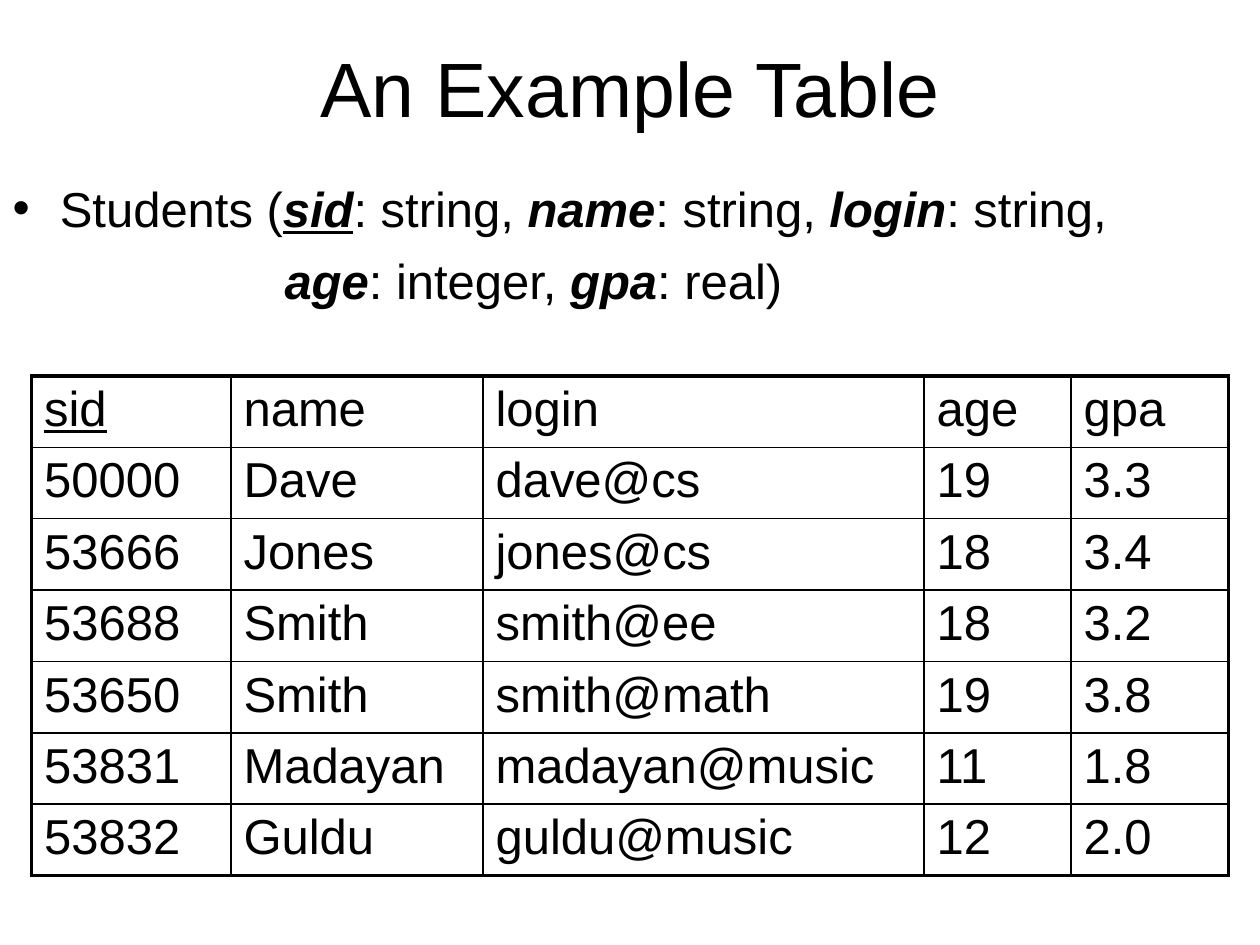
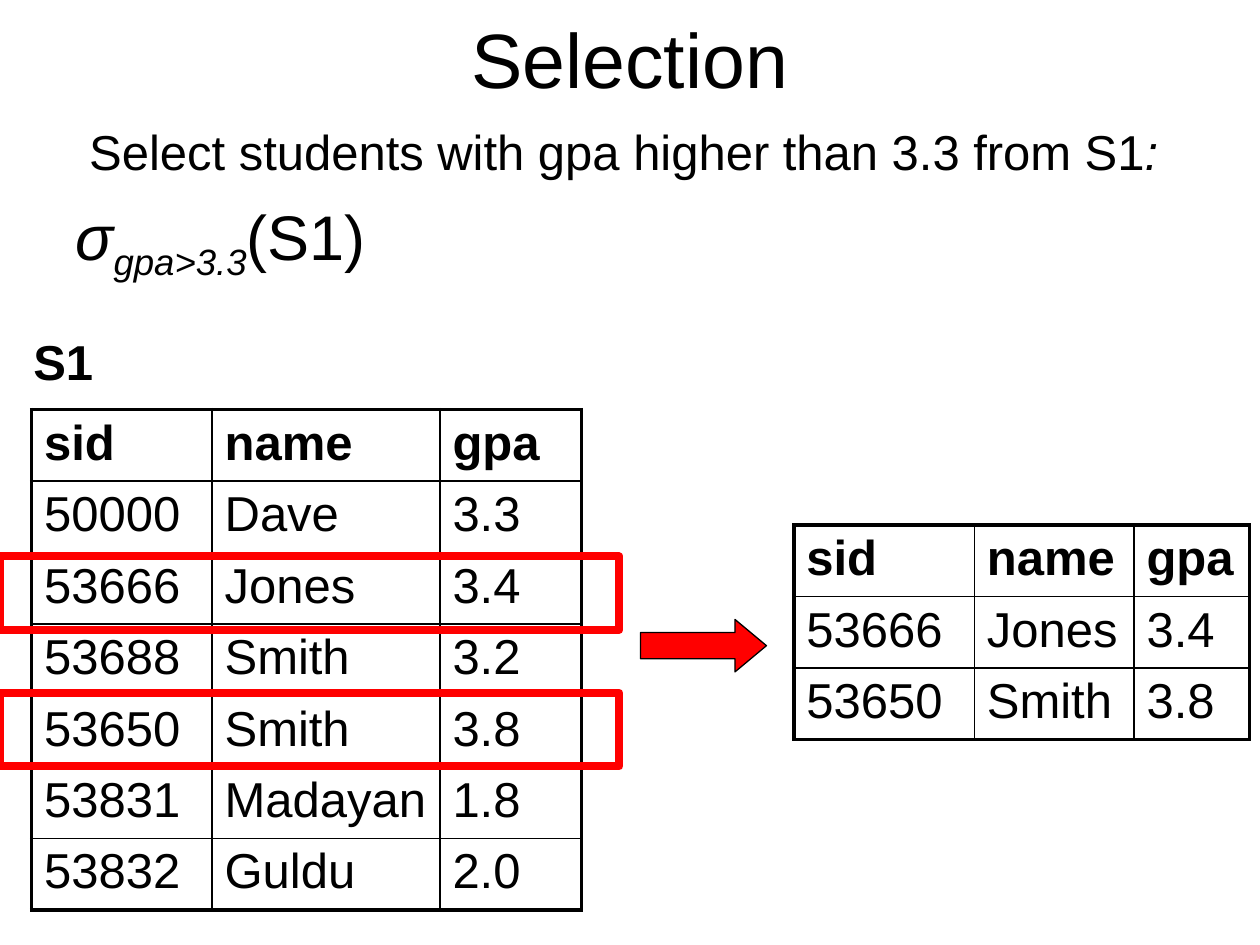
from dataclasses import dataclass

from lxml import etree
from pptx import Presentation
from pptx.dml.color import RGBColor
from pptx.enum import shapes, text
from pptx.oxml import ns
from pptx.util import Pt

PX = 7620  # EMU; 120 px to the inch


@dataclass(frozen=True)
class Theme:
    font: str = "Arial"
    ink: RGBColor = RGBColor(0, 0, 0)
    accent: RGBColor = RGBColor(255, 0, 0)
    title: int = 44
    formula: int = 36
    body: int = 28
    paragraph_gap: float = 0.26
    frame: float = 2.25
    grid: float = 1
    highlight: float = 4.5
    arrow_line: float = 0.75


THEME = Theme()
ROW_HEIGHT = 68

FIELDS = ("sid", "name", "login", "age", "gpa")
STUDENTS = [
    ("50000", "Dave", "dave@cs", "19", "3.3"),
    ("53666", "Jones", "jones@cs", "18", "3.4"),
    ("53688", "Smith", "smith@ee", "18", "3.2"),
    ("53650", "Smith", "smith@math", "19", "3.8"),
    ("53831", "Madayan", "madayan@music", "11", "1.8"),
    ("53832", "Guldu", "guldu@music", "12", "2.0"),
]
S1 = [(sid, name, gpa) for sid, name, _, _, gpa in STUDENTS]
S1_FIELDS = ("sid", "name", "gpa")
SELECTED = [student for student in S1 if float(student[-1]) > 3.3]

# Spans are (text, style): b bold, i italic, u underline, s subscript
SCHEMA = [
    dict(left=45, indent=-45, bullet="•", spans=[
        ("Students (", ""), ("sid", "biu"), (": string, ", ""), ("name", "bi"),
        (": string, ", ""), ("login", "bi"), (": string,", "")]),
    dict(left=259, spans=[
        ("age", "bi"), (": integer, ", ""), ("gpa", "bi"), (": real)", "")]),
]
SELECTION = [
    dict(left=13, spans=[
        ("Select students with gpa higher than 3.3 from S1", ""), (":", "i")]),
    dict(size=THEME.formula, spans=[
        ("σ", "i"), ("gpa>3.3", "is"), ("(S1)", "")]),
]


def px(*lengths):
    return [round(length * PX) for length in lengths]


def place(shape, box):
    shape.left, shape.top, shape.width, shape.height = px(*box)


def set_font(para, size=THEME.body, bold=None):
    font = para.font
    font.name, font.size, font.bold = THEME.font, Pt(size), bold
    font.color.rgb = THEME.ink


def add_span(para, words, style):
    span = para.add_run()
    span.text = words
    for letter, attribute in (("b", "bold"), ("i", "italic"), ("u", "underline")):
        if letter in style:
            setattr(span.font, attribute, True)
    if "s" in style:
        span._r.get_or_add_rPr().set("baseline", "-25000")


def set_indent(para, left, indent, bullet):
    properties = para._p.get_or_add_pPr()
    left, indent = px(left, indent)
    properties.set("marL", str(left))
    properties.set("indent", str(indent))
    properties.insert_element_before(
        properties.makeelement(
            ns.qn("a:buChar" if bullet else "a:buNone"),
            {"char": bullet} if bullet else {}),
        "a:tabLst", "a:defRPr", "a:extLst")


def fill_body(body, box, paragraphs):
    place(body, box)
    frame = body.text_frame
    frame.auto_size = text.MSO_AUTO_SIZE.NONE
    for number, content in enumerate(paragraphs):
        para = frame.add_paragraph() if number else frame.paragraphs[0]
        size = content.get("size", THEME.body)
        set_font(para, size)
        if number:
            para.space_before = Pt(round(size * THEME.paragraph_gap, 1))
        set_indent(para, content.get("left", 0), content.get("indent", 0),
                   content.get("bullet"))
        for words, style in content["spans"]:
            add_span(para, words, style)


def add_page(deck, title, title_box, body_box, paragraphs):
    page = deck.slides.add_slide(deck.slide_layouts[1])
    heading, body = page.placeholders
    place(heading, title_box)
    heading.text_frame.text = title
    set_font(heading.text_frame.paragraphs[0], THEME.title)
    fill_body(body, body_box, paragraphs)
    return page


def set_borders(cell, outer_sides):
    """Draw a thick line on the sides that lie on the table's frame."""
    properties = cell._tc.get_or_add_tcPr()
    for side in "LRTB":
        width = THEME.frame if side in outer_sides else THEME.grid
        line = etree.SubElement(properties, ns.qn(f"a:ln{side}"), w=str(Pt(width)))
        fill = etree.SubElement(line, ns.qn("a:solidFill"))
        etree.SubElement(fill, ns.qn("a:srgbClr"), val=str(THEME.ink))


def add_grid(page, left, top, widths, fields, records, bold_header=True):
    rows = [fields, *records]
    grid = page.shapes.add_table(
        len(rows), len(fields),
        *px(left, top, sum(widths), ROW_HEIGHT * len(rows))).table
    grid.first_row = grid.horz_banding = False
    for column, width in zip(grid.columns, px(*widths)):
        column.width = width
    for r, row in enumerate(rows):
        grid.rows[r].height = px(ROW_HEIGHT)[0]
        for c, value in enumerate(row):
            cell = grid.cell(r, c)
            cell.text = value
            set_font(cell.text_frame.paragraphs[0],
                     bold=bold_header and r == 0)
            edges = {"L": c == 0, "R": c == len(fields) - 1,
                     "T": r == 0, "B": r == len(rows) - 1}
            set_borders(cell, [side for side, outer in edges.items() if outer])
            cell.fill.background()
    return grid


def add_label(page, box, words):
    label = page.shapes.add_textbox(*px(*box))
    label.text_frame.word_wrap = False
    label.text_frame.text = words
    set_font(label.text_frame.paragraphs[0], bold=True)


def add_highlights(page, tops):
    group = page.shapes.add_group_shape()
    for top in tops:
        outline = group.shapes.add_shape(
            shapes.MSO_SHAPE.RECTANGLE, *px(0, top, 590, 70))
        outline.shadow.inherit = False
        outline.fill.background()
        outline.line.color.rgb = THEME.accent
        outline.line.width = Pt(THEME.highlight)


def add_arrow(page, box):
    arrow = page.shapes.add_shape(shapes.MSO_SHAPE.RIGHT_ARROW, *px(*box))
    arrow.adjustments[0], arrow.adjustments[1] = 0.5, 0.6
    arrow.shadow.inherit = False
    arrow.fill.solid()
    arrow.fill.fore_color.rgb = THEME.accent
    arrow.line.color.rgb = THEME.ink
    arrow.line.width = Pt(THEME.arrow_line)


def add_example_page(deck):
    page = add_page(deck, "An Example Table", (60, 36, 1080, 94),
                    (0, 164, 1200, 140), SCHEMA)
    grid = add_grid(page, 30, 358, (190, 240, 420, 140, 150),
                    FIELDS, STUDENTS, bold_header=False)
    grid.cell(0, 0).text_frame.paragraphs[0].font.underline = True


def add_selection_page(deck):
    page = add_page(deck, "Selection", (60, -20, 1080, 150),
                    (60, 110, 1070, 160), SELECTION)
    add_label(page, (20, 310, 82, 68), "S1")
    add_grid(page, 30, 390, (172, 217, 135), S1_FIELDS, S1)
    add_highlights(page, (530, 660))
    add_grid(page, 756, 500, (172, 152, 110), S1_FIELDS, SELECTED)
    add_arrow(page, (610, 590, 120, 50))


def main():
    deck = Presentation()
    deck.slide_width, deck.slide_height = px(1200, 900)
    add_example_page(deck)
    add_selection_page(deck)
    deck.save("out.pptx")


if __name__ == "__main__":
    main()
